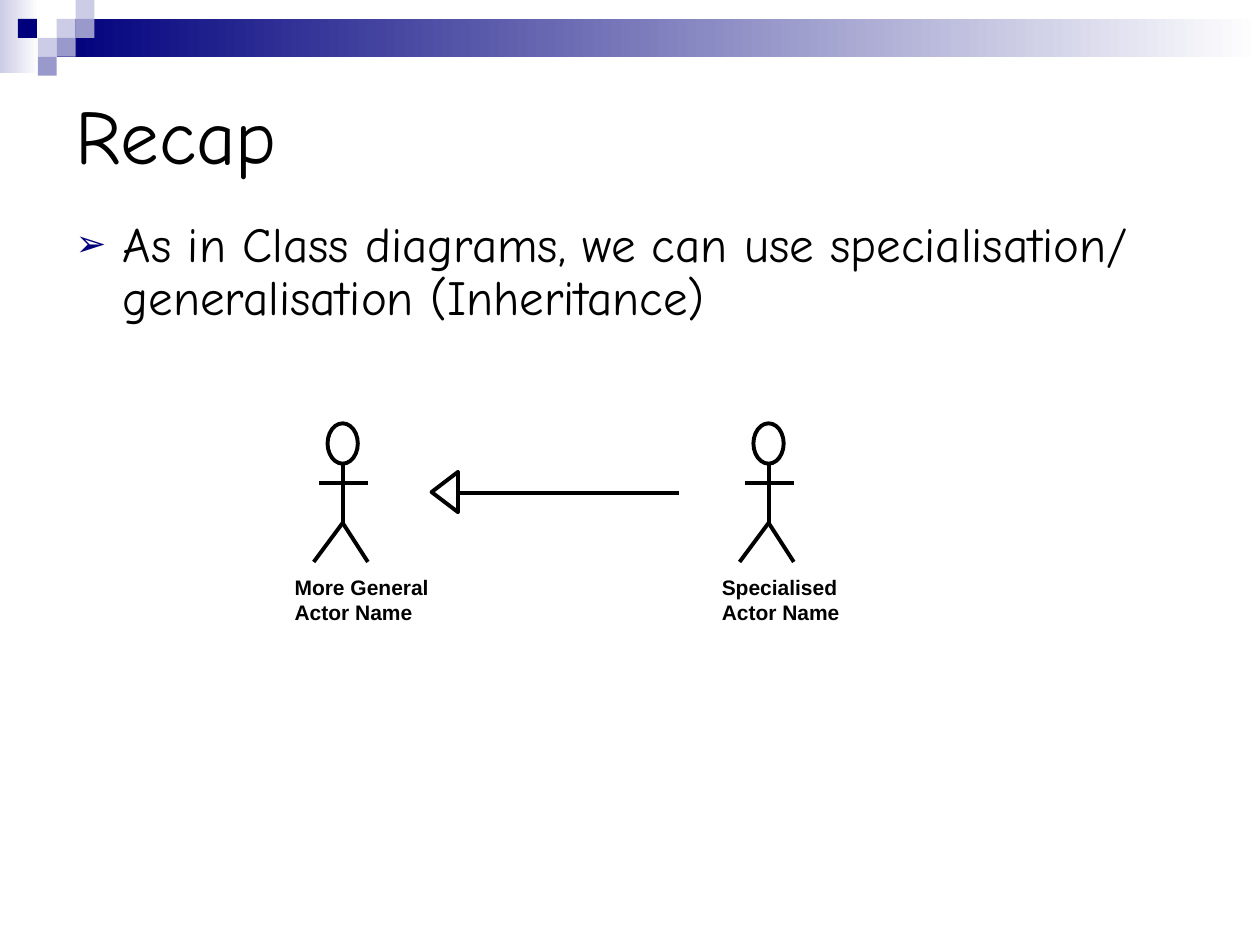
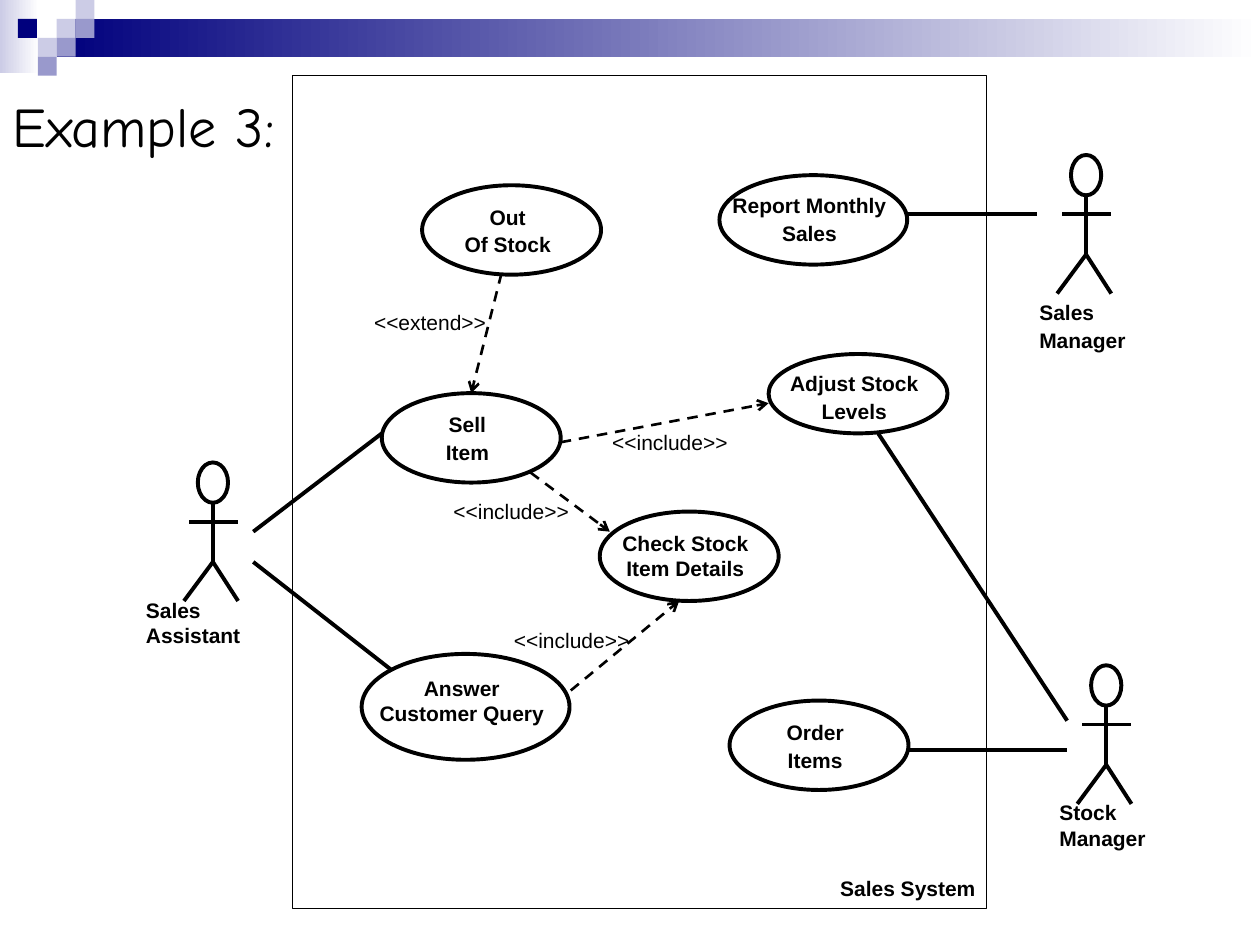
import pptx
import pptx.dml.color
import pptx.enum.dml
import pptx.enum.shapes
import pptx.enum.text
import pptx.oxml
import pptx.oxml.ns
import pptx.util

MSO_SHAPE = pptx.enum.shapes.MSO_SHAPE
ANCHOR = pptx.enum.text.MSO_ANCHOR
ALIGN = pptx.enum.text.PP_ALIGN
AUTO_SIZE = pptx.enum.text.MSO_AUTO_SIZE
qn = pptx.oxml.ns.qn

COLUMNS, ROWS = 100, 75
SLIDE_WIDTH = pptx.util.Inches(10)
CELL = SLIDE_WIDTH / COLUMNS

BLACK, WHITE, NAVY, LILAC, VIOLET = "000000", "FFFFFF", "00007D", "CCCCE6", "9999CC"
HAND_FONT, LABEL_FONT = "Comic Neue", "Arial"
THICK, DASHED, THIN = 2.25, 1.5, 0.75
LABEL_SIZE = 12

BANDS = [((0, 0, 3.1, 5.8), LILAC), ((4.5, 1.5, 95.5, 3), NAVY)]
TILE = 1.5
TILES = [
    (3, 1, LILAC), (4, 0, LILAC), (4, 1, VIOLET), (2, 2, LILAC),
    (0.95, 1, NAVY), (3, 2, VIOLET), (2, 3, VIOLET),
]

RECAP = {
    "title": ("Recap", (5, 5, 90, 11.2), 44, ANCHOR.MIDDLE),
    "point": "As in Class diagrams, we can use specialisation/ generalisation (Inheritance)",
    "point_box": (5, 17, 93, 16.5),
    "actors": [
        (27.2, 33.6, ["More General Actor Name"], (-4.8, 11.5, 13.4, 5)),
        (61, 33.6, ["Specialised Actor Name"], (-4.7, 11.5, 11.8, 5)),
    ],
    "inheritance": ((53.9, 39.1), (36.4, 39.1)),
    "arrowhead": (33.7, 38, 3.2, 2.1),
}

EXAMPLE = {
    "title": ("Example 3:", (0, 6.8, 24.8, 6.4), 32, ANCHOR.TOP),
    "system": (23.2, 6, 55.1, 66.1),
    "system_name": ("Sales System", (65.7, 69, 13.4, 3)),
    "actors": [
        (16.9, 36.7, ["Sales Assistant"], (-6.3, 10.2, 13.4, 5)),
        (86.2, 12.3, ["Sales", "Manager"], (-4.7, 11, 9.5, 5.2)),
        (87.8, 52.8, ["Stock Manager"], (-4.7, 10.2, 13.4, 5)),
    ],
    "use_cases": [
        (["Out", "Of Stock"], (33.5, 14.7, 14.2, 7.1), 1),
        (["Report Monthly", "Sales"], (57.1, 13.9, 14.9, 7.1), 0.9),
        (["Adjust Stock", "Levels"], (61, 28.1, 14.2, 6.3), 0.8),
        (["Sell", "Item"], (30.3, 31.2, 14.2, 7.1), 1),
        (["Check Stock Item Details"], (47.6, 40.6, 14.2, 7.1), 1),
        (["Answer Customer Query"], (28.7, 51.9, 16.5, 8.4), 1.2),
        (["Order", "Items"], (57.9, 55.6, 14.2, 7.1), 1),
    ],
    "associations": [
        ((72, 17), (82.3, 17)),
        ((72, 59.5), (84.7, 59.5)),
        ((69.7, 34.4), (84.7, 57.2)),
        ((20.1, 42.2), (30.3, 34.4)),
        ((20.1, 44.6), (31.1, 53.2)),
    ],
    "dependencies": [
        ("<<extend>>", (28.7, 24.1), (39.8, 21.7), (37.4, 31.2)),
        ("<<include>>", (47.6, 33.6), (44.5, 35.1), (61, 32)),
        ("<<include>>", (35, 39.1), (42.1, 37.5), (48.4, 42.2)),
        ("<<include>>", (39.8, 49.3), (45.3, 54.8), (53.9, 47.7)),
    ],
}
DEPENDENCY_LABEL = (14.2, 3)


def cells(*lengths):
    return [round(length * CELL) for length in lengths]


def color(hex_code):
    return pptx.dml.color.RGBColor.from_string(hex_code)


def add_run(paragraph, text, font, size, bold=False):
    run = paragraph.add_run()
    run.text = text
    run.font.name = font
    run.font.size = pptx.util.Pt(size)
    run.font.bold = bold
    run.font.color.rgb = color(BLACK)


def add_outline(shapes, preset, box, width=THICK):
    outline = shapes.add_shape(preset, *cells(*box))
    outline.shadow.inherit = False
    outline.fill.background()
    outline.line.color.rgb = color(BLACK)
    outline.line.width = pptx.util.Pt(width)
    return outline


def add_line(shapes, start, end, dependency=False):
    line = shapes.add_connector(
        pptx.enum.shapes.MSO_CONNECTOR.STRAIGHT, *cells(*start, *end))
    line.line.color.rgb = color(BLACK)
    line.line.width = pptx.util.Pt(DASHED if dependency else THICK)
    properties = line.element.find(qn("p:spPr"))
    if dependency:
        line.line.dash_style = pptx.enum.dml.MSO_LINE.DASH
        tail = pptx.oxml.parse_xml(f'<a:tailEnd {pptx.oxml.ns.nsdecls("a")} type="arrow"/>')
        properties.find(qn("a:ln")).append(tail)
    properties.append(pptx.oxml.parse_xml(f'<a:effectLst {pptx.oxml.ns.nsdecls("a")}/>'))


def add_label(shapes, lines, box, bold=True, align=ALIGN.LEFT):
    frame = shapes.add_textbox(*cells(*box)).text_frame
    frame.word_wrap = True
    frame.auto_size = AUTO_SIZE.SHAPE_TO_FIT_TEXT
    for number, text in enumerate(lines):
        paragraph = frame.add_paragraph() if number else frame.paragraphs[0]
        paragraph.alignment = align
        paragraph.space_before = pptx.util.Pt(1.5)
        add_run(paragraph, text, LABEL_FONT, LABEL_SIZE, bold)


def add_actor(slide, x, y, name, label):
    figure = slide.shapes.add_group_shape().shapes
    add_outline(figure, MSO_SHAPE.OVAL, (x - 1.2, y, 2.4, 3.2))
    hip = (x, y + 7.9)
    add_line(figure, (x, y + 3.2), hip)
    add_line(figure, (x - 2.3, y + 11), hip)
    add_line(figure, hip, (x + 2, y + 11))
    add_line(figure, (x - 1.9, y + 4.7), (x + 2, y + 4.7))
    dx, dy, width, height = label
    add_label(slide.shapes, name, (x + dx, y + dy, width, height))


def add_use_case(slide, name, box, drop):
    use_case = slide.shapes.add_group_shape().shapes
    add_outline(use_case, MSO_SHAPE.OVAL, box)
    left, top, width, _ = box
    add_label(use_case, name, (left, top + drop, width - 0.6, 5.2), align=ALIGN.CENTER)


def place(placeholder, box):
    placeholder.left, placeholder.top, placeholder.width, placeholder.height = cells(*box)
    frame = placeholder.text_frame
    frame.word_wrap = True
    frame.auto_size = AUTO_SIZE.NONE
    return frame


def set_title(slide, text, box, size, anchor):
    frame = place(slide.shapes.title, box)
    frame.vertical_anchor = anchor
    frame.paragraphs[0].alignment = ALIGN.LEFT
    add_run(frame.paragraphs[0], text, HAND_FONT, size)


def set_point(slide, text, box):
    frame = place(slide.placeholders[1], box)
    frame.vertical_anchor = ANCHOR.TOP
    paragraph = frame.paragraphs[0]
    paragraph.line_spacing = 0.9
    paragraph.space_before = pptx.util.Pt(7)
    add_run(paragraph, text, HAND_FONT, 28)
    properties = paragraph._p.get_or_add_pPr()
    indent = cells(3.75)[0]
    properties.set("marL", str(indent))
    properties.set("indent", str(-indent))
    for bullet in (
        f'<a:buClr {{}}><a:srgbClr val="{NAVY}"/></a:buClr>',
        '<a:buSzPct {} val="75000"/>',
        f'<a:buFont {{}} typeface="{LABEL_FONT}"/>',
        '<a:buChar {} char="➢"/>',
    ):
        properties.append(pptx.oxml.parse_xml(bullet.format(pptx.oxml.ns.nsdecls("a"))))


def decorate_master(master, slide):
    tiles = [((column * TILE, row * TILE, TILE, TILE), shade) for column, row, shade in TILES]
    for number, (box, shade) in enumerate(BANDS + tiles):
        block = slide.shapes.add_shape(MSO_SHAPE.RECTANGLE, *cells(*box))
        block.shadow.inherit = False
        block.line.fill.background()
        if number < len(BANDS):
            block.fill.gradient()
            block.fill.gradient_angle = 0
            for stop, stop_shade in zip(block.fill.gradient_stops, (shade, WHITE)):
                stop.color.rgb = color(stop_shade)
        else:
            block.fill.solid()
            block.fill.fore_color.rgb = color(shade)
        block.element.nvSpPr.cNvPr.set("id", str(100 + number))
        master.shapes.element.insert(2 + number, block.element)


def build_recap(slide):
    set_title(slide, *RECAP["title"])
    set_point(slide, RECAP["point"], RECAP["point_box"])
    for actor in RECAP["actors"]:
        add_actor(slide, *actor)
    inheritance = slide.shapes.add_group_shape().shapes
    add_line(inheritance, *RECAP["inheritance"])
    add_outline(inheritance, MSO_SHAPE.ISOSCELES_TRIANGLE, RECAP["arrowhead"]).rotation = 270


def build_example(slide):
    set_title(slide, *EXAMPLE["title"])
    add_outline(slide.shapes, MSO_SHAPE.RECTANGLE, EXAMPLE["system"], THIN)
    system_name, name_box = EXAMPLE["system_name"]
    add_label(slide.shapes, [system_name], name_box)
    for use_case in EXAMPLE["use_cases"]:
        add_use_case(slide, *use_case)
    for actor in EXAMPLE["actors"]:
        add_actor(slide, *actor)
    for association in EXAMPLE["associations"]:
        add_line(slide.shapes, *association)
    for stereotype, corner, start, end in EXAMPLE["dependencies"]:
        add_line(slide.shapes, start, end, dependency=True)
        add_label(slide.shapes, [stereotype], corner + DEPENDENCY_LABEL, bold=False)


def main():
    deck = pptx.Presentation()
    deck.slide_width, deck.slide_height = cells(COLUMNS, ROWS)
    recap = deck.slides.add_slide(deck.slide_layouts.get_by_name("Title and Content"))
    example = deck.slides.add_slide(deck.slide_layouts.get_by_name("Title Only"))
    decorate_master(deck.slide_master, recap)
    build_recap(recap)
    build_example(example)
    deck.save("out.pptx")


if __name__ == "__main__":
    main()
